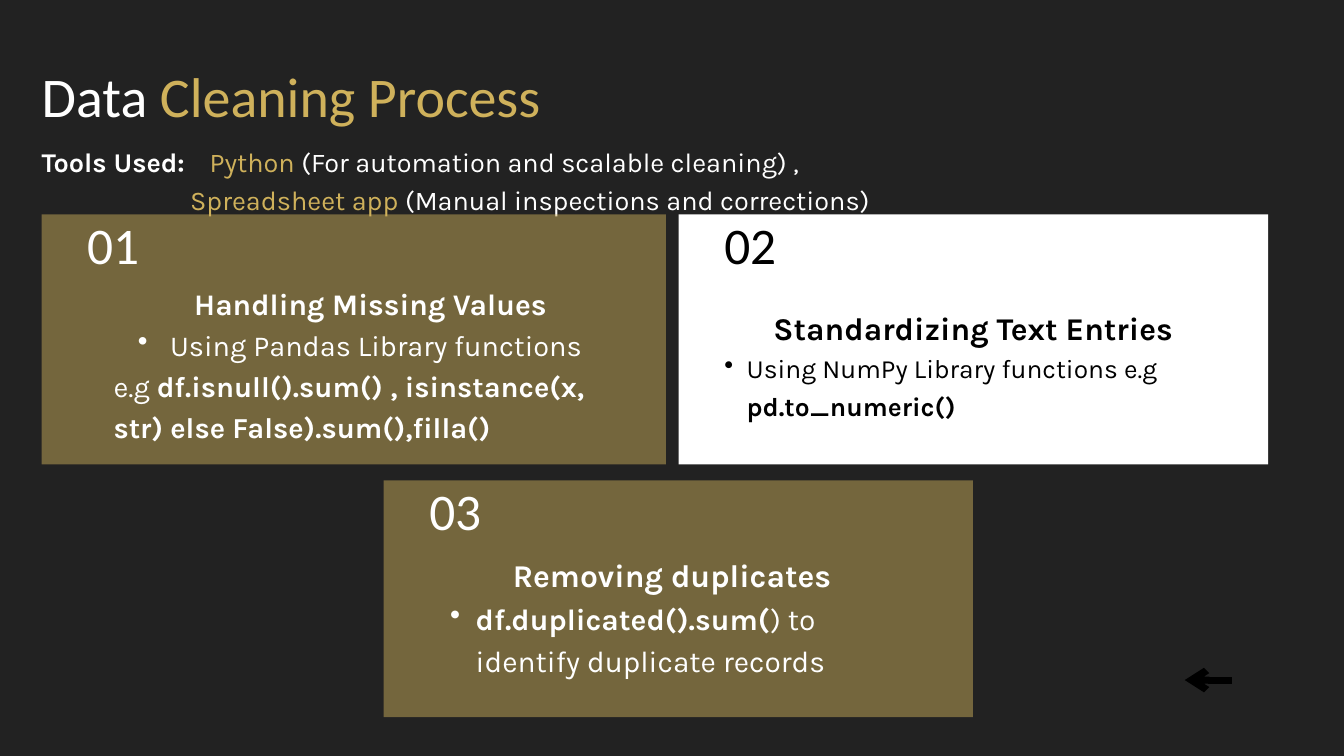
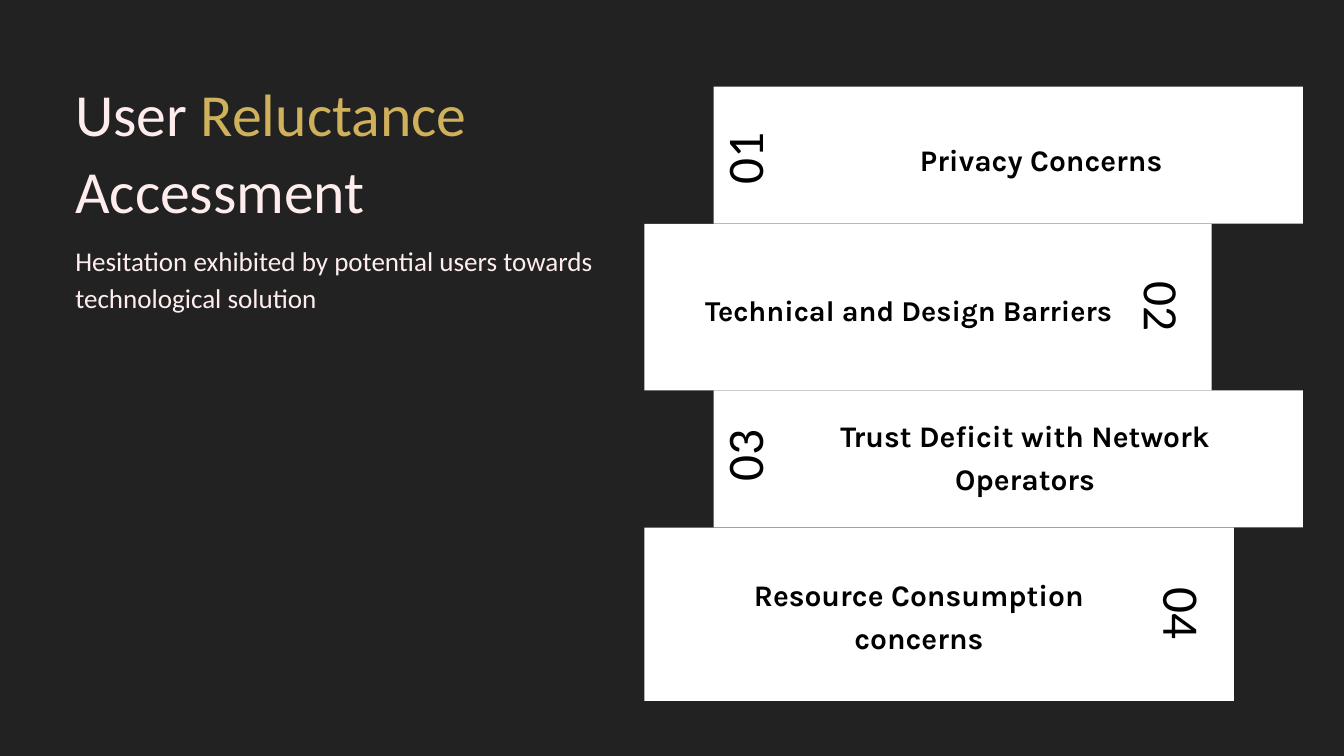
import pptx
import pptx.util
import pptx.dml.color
import pptx.enum.shapes
import pptx.enum.text
import pptx.oxml
import lxml.etree
from pptx.util import Inches

DARK = pptx.dml.color.RGBColor(0x22, 0x22, 0x22)
GOLD = pptx.dml.color.RGBColor(0xCF, 0xB1, 0x5B)
WHITE = pptx.dml.color.RGBColor(0xFF, 0xFF, 0xFF)
BLUSH = pptx.dml.color.RGBColor(0xFF, 0xED, 0xED)
BLACK = pptx.dml.color.RGBColor(0x00, 0x00, 0x00)
HEADING_FONT = "Calibri"
BODY_FONT = "Karla"
LEFT = pptx.enum.text.PP_ALIGN.LEFT
CENTER = pptx.enum.text.PP_ALIGN.CENTER


def write(box, place, font, colour, paragraphs, align=LEFT):
    box.left, box.top, box.width, box.height = [Inches(length) for length in place]
    frame = box.text_frame
    frame.word_wrap = True
    frame.auto_size = pptx.enum.text.MSO_AUTO_SIZE.NONE
    frame.vertical_anchor = pptx.enum.text.MSO_ANCHOR.TOP
    frame.margin_left = frame.margin_top = frame.margin_right = frame.margin_bottom = 0
    for index, (size, spacing, spans, layout) in enumerate(paragraphs):
        para = frame.add_paragraph() if index else frame.paragraphs[0]
        para.alignment = layout.get("align", align)
        properties = para._p.get_or_add_pPr()
        properties.set("marL", str(Inches(layout.get("margin", 0))))
        properties.set("indent", str(-Inches(layout.get("hanging", 0))))
        if "hanging" in layout:
            bullet = lxml.etree.SubElement(properties, pptx.oxml.ns.qn("a:buChar"))
            bullet.set("char", "•")
        if "tab" in layout:
            tabs = lxml.etree.SubElement(properties, pptx.oxml.ns.qn("a:tabLst"))
            tab = lxml.etree.SubElement(tabs, pptx.oxml.ns.qn("a:tab"))
            tab.set("pos", str(Inches(layout["tab"])))
            tab.set("algn", "l")
        para.line_spacing = pptx.util.Pt(spacing)
        for text, bold, span_colour in spans:
            span = para.add_run()
            span.text = text
            span.font.name = font
            span.font.size = pptx.util.Pt(size)
            span.font.bold = bold
            span.font.color.rgb = span_colour or colour


def add_panel(page, place, colour, opacity=100):
    panel = page.shapes.add_shape(
        pptx.enum.shapes.MSO_SHAPE.RECTANGLE, *[Inches(length) for length in place])
    panel.shadow.inherit = False
    panel.line.fill.background()
    panel.fill.solid()
    panel.fill.fore_color.rgb = colour
    if opacity < 100:
        fill_colour = panel._element.spPr.find(".//" + pptx.oxml.ns.qn("a:srgbClr"))
        alpha = lxml.etree.SubElement(fill_colour, pptx.oxml.ns.qn("a:alpha"))
        alpha.set("val", str(opacity * 1000))


deck = pptx.Presentation()
deck.slide_width = Inches(20)
deck.slide_height = Inches(11.25)
deck.slide_master.background.fill.solid()
deck.slide_master.background.fill.fore_color.rgb = DARK
title_only = deck.slide_layouts[5]

page = deck.slides.add_slide(title_only)
write(page.shapes.title, (0.62, 0.83, 18.57, 1.05), HEADING_FONT, WHITE, [
    (60, 78, [("Data", False, None), (" Cleaning Process", False, GOLD)], {})])
tools = page.shapes.add_textbox(0, 0, 0, 0)
write(tools, (0.62, 2.08, 18.57, 1.09), BODY_FONT, WHITE, [
    (29, 40.6, [("Tools Used:\t", True, None), ("Python", False, GOLD),
                (" (For automation and scalable cleaning) ,", False, None)], {"tab": 2.44}),
    (29, 40.6, [("Spreadsheet app", False, GOLD),
                (" (Manual inspections and corrections)", False, None)], {"margin": 2.21})])

steps = [
    ("01", (0.62, 3.19, 9.29, 3.72), GOLD, 48, WHITE, (1.69, 4.15, 7.65, 2.42), [
        (32, 45.5, [("Handling Missing Values", True, None)], {"align": CENTER}),
        (31, 44, [("Using Pandas Library functions", False, None)],
         {"margin": 0.84, "hanging": 0.48}),
        (31, 44, [("e.g ", False, None),
                  ("df.isnull().sum() , isinstance(x, str) else False).sum(),filla()",
                   True, None)], {})]),
    ("02", (10.1, 3.19, 8.77, 3.72), WHITE, 100, BLACK, (10.44, 4.49, 8.09, 1.75), [
        (33.9, 48.1, [("Standardizing Text Entries", True, None)], {"align": CENTER}),
        (28.2, 40.1, [("Using NumPy Library functions e.g ", False, None),
                      ("pd.to_numeric()", True, None)],
         {"margin": 0.67, "hanging": 0.33})]),
    ("03", (5.71, 7.15, 8.77, 3.52), GOLD, 48, WHITE, (6.32, 8.17, 7.36, 1.9), [
        (34, 48.3, [("Removing duplicates", True, None)], {"align": CENTER}),
        (32, 45.4, [("df.duplicated().sum(", True, None),
                    (") to identify duplicate records", False, None)],
         {"margin": 0.76, "hanging": 0.38})]),
]
for number, panel_place, fill, opacity, colour, text_place, paragraphs in steps:
    add_panel(page, panel_place, fill, opacity)
    write(page.shapes.add_textbox(0, 0, 0, 0), text_place, BODY_FONT, colour, paragraphs)
    number_place = (panel_place[0], panel_place[1] + 0.11, 2.13, 0.82)
    write(page.shapes.add_textbox(0, 0, 0, 0), number_place, HEADING_FONT, colour,
          [(55, 57.2, [(number, False, None)], {})], CENTER)

arrow = page.shapes.add_connector(
    pptx.enum.shapes.MSO_CONNECTOR.STRAIGHT,
    Inches(18.33), Inches(10.12), Inches(17.63), Inches(10.12))
arrow.line.color.rgb = BLACK
arrow.line.width = pptx.util.Pt(7.5)
arrow_head = lxml.etree.SubElement(arrow.line._get_or_add_ln(), pptx.oxml.ns.qn("a:tailEnd"))
arrow_head.set("type", "arrow")
lxml.etree.SubElement(arrow._element.spPr, pptx.oxml.ns.qn("a:effectLst"))

page = deck.slides.add_slide(title_only)
write(page.shapes.title, (1.12, 1.05, 8.88, 2.28), HEADING_FONT, BLUSH, [
    (64, 83.2, [("User ", False, None), ("Reluctance", False, GOLD),
                (" Accessment", False, None)], {})])
write(page.shapes.add_textbox(0, 0, 0, 0), (1.12, 3.55, 8.19, 1.11), HEADING_FONT, BLUSH, [
    (29, 40.6, [("Hesitation exhibited by potential users towards technological solution",
                 False, None)], {})])

concerns = [
    ("01", 10.62, 8.77, 2.04, (10.06, 1.95, 2.13, 0.82), 270, 55,
     (11.77, 2.01, 7.45, 0.61), 32, ["Privacy Concerns"]),
    ("02", 9.59, 8.44, 2.48, (16.21, 4.16, 2.05, 0.81), 90, 52.9,
     (9.94, 4.26, 7.17, 0.56), 30.8, ["Technical and Design Barriers"]),
    ("03", 10.62, 8.77, 2.04, (10.06, 6.37, 2.13, 0.82), 270, 55,
     (11.53, 6.12, 7.45, 1.24), 32, ["Trust Deficit with Network Operators"]),
    ("04", 9.59, 8.77, 2.58, (16.47, 8.71, 2.13, 0.84), 90, 55,
     (9.95, 8.49, 7.45, 1.21), 32, ["Resource Consumption", "concerns"]),
]
top = 1.29
for (number, left, width, height, number_place, rotation, number_size,
     text_place, text_size, lines) in concerns:
    add_panel(page, (left, top, width, height), WHITE)
    number_box = page.shapes.add_textbox(0, 0, 0, 0)
    write(number_box, number_place, HEADING_FONT, BLACK,
          [(number_size, number_size * 1.04, [(number, False, None)], {})], CENTER)
    number_box.rotation = rotation
    write(page.shapes.add_textbox(0, 0, 0, 0), text_place, BODY_FONT, BLACK,
          [(text_size, text_size * 1.42, [(line, True, None)], {}) for line in lines], CENTER)
    top += height

deck.save("out.pptx")
